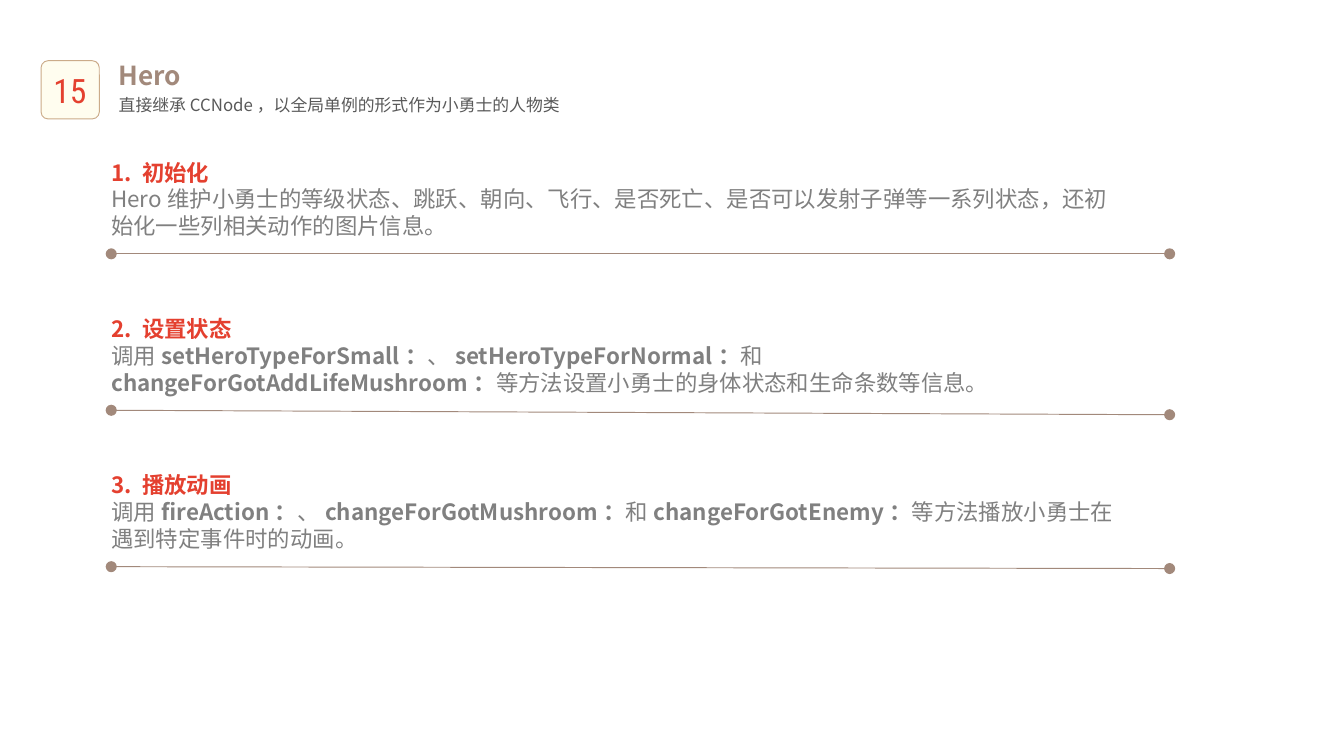
from pptx import Presentation
from pptx.dml.color import RGBColor
from pptx.enum.shapes import MSO_CONNECTOR, MSO_SHAPE
from pptx.enum.text import MSO_ANCHOR, MSO_AUTO_SIZE, PP_ALIGN
from pptx.oxml.ns import qn
from pptx.util import Pt
from lxml import etree

LEFT, CENTER = PP_ALIGN.LEFT, PP_ALIGN.CENTER
TOP, MIDDLE = MSO_ANCHOR.TOP, MSO_ANCHOR.MIDDLE
NO_FIT = MSO_AUTO_SIZE.NONE
ROUNDED, STRAIGHT = MSO_SHAPE.ROUNDED_RECTANGLE, MSO_CONNECTOR.STRAIGHT
SANS, CONDENSED = "Noto Sans CJK SC", "Roboto Condensed"
COLORS = {"red": "E4402F", "brown": "A2897B", "dark": "595959",
          "gray": "808080", "cream": "FFFDEF", "tan": "CBAB89"}


def color(name):
    return RGBColor.from_string(COLORS[name])


def write(p, text, size=12, fill="gray", bold=False, font=SANS):
    r = p.add_run()
    r.text = text
    r.font.size, r.font.bold, r.font.name = Pt(size), bold, font
    r.font.color.rgb = color(fill)
    etree.SubElement(r.font._element, qn("a:ea"), typeface=font)


prs = Presentation()
prs.slide_width, prs.slide_height = Pt(720), Pt(405)
s = prs.slides.add_slide(prs.slide_layouts[1])
title, body = s.placeholders[0], s.placeholders[1]

# Number badge
sp = s.shapes.add_shape(ROUNDED, Pt(22), Pt(32.5), Pt(31.2), Pt(31.2))
sp.adjustments[0] = 0.12
sp.shadow.inherit = False
sp.fill.solid()
sp.fill.fore_color.rgb = color("cream")
sp.line.color.rgb = color("tan")
sp.line.width = Pt(0.5)
tb = s.shapes.add_textbox(Pt(19), Pt(33.5), Pt(37), Pt(29))
tf = tb.text_frame
tf.word_wrap = True
tf.vertical_anchor = MIDDLE
tf.paragraphs[0].alignment = CENTER
write(tf.paragraphs[0], "15", size=18, fill="red", font=CONDENSED)

# Title and subtitle
headings = [
    (title, 28, 34, "Hero", 14, "brown", True),
    (body, 47, 24, "直接继承CCNode，以全局单例的形式作为小勇士的人物类", 9, "dark", False),
]
for sp, top, height, text, size, fill, bold in headings:
    sp.left, sp.top, sp.width, sp.height = Pt(56.4), Pt(top), Pt(620), Pt(height)
    tf = sp.text_frame
    tf.auto_size = NO_FIT
    tf.vertical_anchor = TOP
    p = tf.paragraphs[0]
    p.alignment = LEFT
    p.space_before = Pt(size * 0.2)
    write(p, text, size=size, fill=fill, bold=bold)
pPr = body.text_frame.paragraphs[0]._p.get_or_add_pPr()
pPr.set("marL", "0")
pPr.set("indent", "0")
etree.SubElement(pPr, qn("a:buNone"))

# Sections: heading, text width, drop of the rule, runs alternating plain and bold
sections = [
    ("1. 初始化", 538.5, 0,
     ["Hero维护小勇士的等级状态、跳跃、朝向、飞行、是否死亡、是否可以发射子弹等一系列状态，"
      "还初始化一些列相关动作的图片信息。"]),
    ("2. 设置状态", 544.5, 2.4,
     ["调用", "setHeroTypeForSmall：", "、", "setHeroTypeForNormal：", "和",
      "changeForGotAddLifeMushroom：", "等方法设置小勇士的身体状态和生命条数等信息。"]),
    ("3. 播放动画", 544.5, 1,
     ["调用", "fireAction：", "、", "changeForGotMushroom：", "和",
      "changeForGotEnemy：", "等方法播放小勇士在遇到特定事件时的动画。"]),
]
for i, (heading, width, drop, runs) in enumerate(sections):
    top = 85 + 83.8 * i
    tb = s.shapes.add_textbox(Pt(59.6), Pt(top), Pt(width), Pt(44))
    tf = tb.text_frame
    tf.word_wrap = True
    tf.margin_left = tf.margin_right = tf.margin_top = tf.margin_bottom = 0
    write(tf.paragraphs[0], heading, fill="red", bold=True)
    p = tf.add_paragraph()
    for j, text in enumerate(runs):
        write(p, text, bold=j % 2 == 1)

    # Rule with round ends
    y = top + 51
    rule = s.shapes.add_connector(STRAIGHT, Pt(59.6), Pt(y), Pt(626.6), Pt(y + drop))
    rule.line.color.rgb = color("brown")
    rule.line.width = Pt(0.5)
    ln = rule.line._get_or_add_ln()
    for end in ("a:headEnd", "a:tailEnd"):
        etree.SubElement(ln, qn(end), type="oval")
    etree.SubElement(rule._element.spPr, qn("a:effectLst"))

prs.save("out.pptx")
